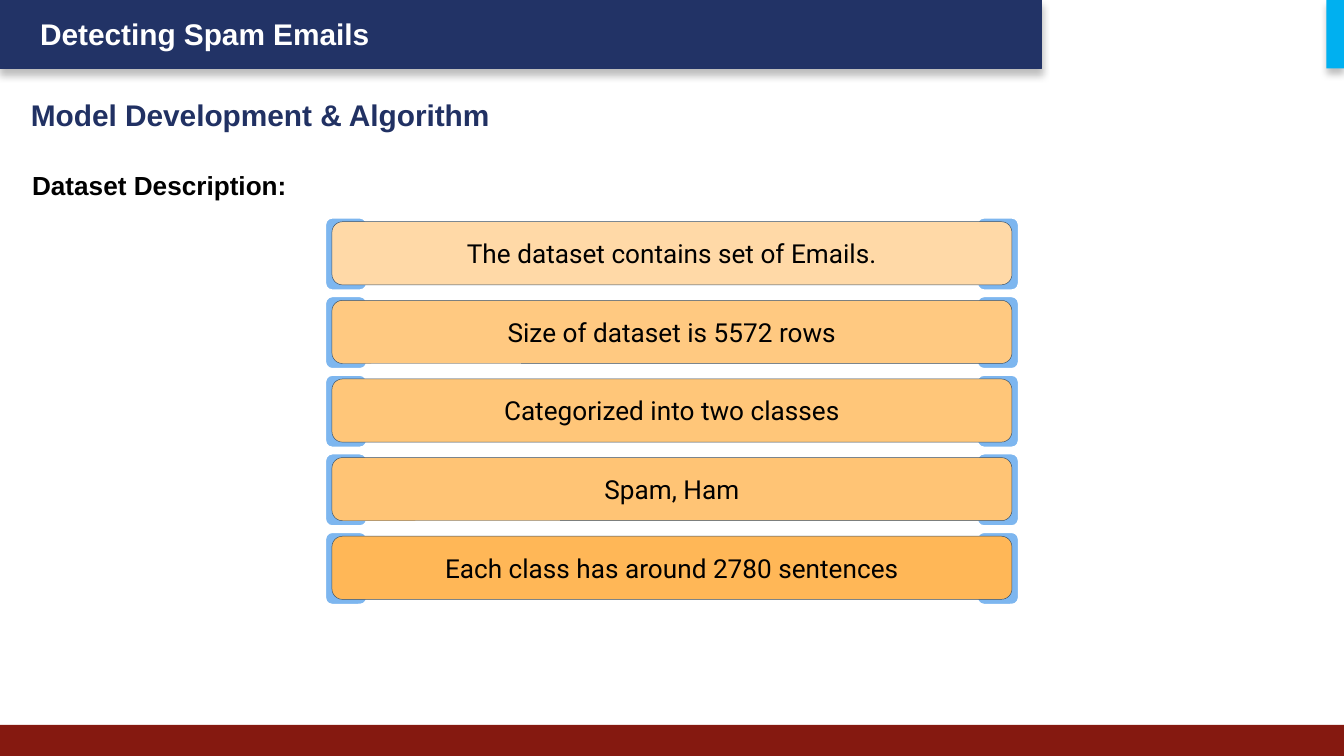
from lxml import etree
from pptx import Presentation
from pptx.dml.color import RGBColor
from pptx.enum.shapes import MSO_SHAPE
from pptx.enum.text import MSO_ANCHOR, MSO_AUTO_SIZE, PP_ALIGN
from pptx.oxml.ns import qn
from pptx.util import Inches, Pt

RECT, ROUNDED = MSO_SHAPE.RECTANGLE, MSO_SHAPE.ROUNDED_RECTANGLE
TOP, MIDDLE = MSO_ANCHOR.TOP, MSO_ANCHOR.MIDDLE
LEFT, CENTER = PP_ALIGN.LEFT, PP_ALIGN.CENTER
NO_AUTOFIT = MSO_AUTO_SIZE.NONE

NAVY, TITLE_NAVY, MAROON, CYAN = "223366", "213163", "851910", "00B0F0"
TAB_BLUE, BAR_EDGE, WHITE, BLACK = "7DB6EF", "375069", "FFFFFF", "000000"

FACTS = [
    ("The dataset contains set of Emails.", "FFD9A7"),
    ("Size of dataset is 5572 rows", "FFC981"),
    ("Categorized into two classes", "FFC679"),
    ("Spam, Ham", "FFC475"),
    ("Each class has around 2780 sentences", "FFB757"),
]


def rgb(value):
    """Turn a hex string into a colour."""
    return RGBColor.from_string(value)


def add_box(s, kind, box, fill, line=None, width=1):
    """Add a filled shape without shadow, outlined if a line colour is given."""
    sp = s.shapes.add_shape(kind, *map(Inches, box))
    sp.shadow.inherit = False
    sp.fill.solid()
    sp.fill.fore_color.rgb = rgb(fill)
    if line:
        sp.line.color.rgb = rgb(line)
        sp.line.width = Pt(width)
    else:
        sp.line.fill.background()
    return sp


def add_shadow(sp):
    """Give a shape a soft shadow falling straight down."""
    effects = sp._element.spPr.find(qn("a:effectLst"))
    shadow = etree.SubElement(effects, qn("a:outerShdw"), blurRad=str(Pt(4)),
                              dist=str(Pt(3)), dir="5400000", algn="t", rotWithShape="0")
    color = etree.SubElement(shadow, qn("a:srgbClr"), val=BLACK)
    etree.SubElement(color, qn("a:alpha"), val="25000")


def write(sp, text, size, color, font="Arial", bold=True, align=LEFT, anchor=TOP, inset=0.1):
    """Write one formatted paragraph into a shape."""
    tf = sp.text_frame
    tf.text = text
    tf.word_wrap = True
    tf.auto_size = NO_AUTOFIT
    tf.vertical_anchor = anchor
    tf.margin_left = tf.margin_right = Inches(0.1)
    tf.margin_top = tf.margin_bottom = Inches(inset)
    p = tf.paragraphs[0]
    p.alignment = align
    r = p.runs[0]
    r.font.name = font
    r.font.size = Pt(size)
    r.font.bold = bold
    r.font.color.rgb = rgb(color)


def add_label(s, box, text, size, color, inset=0.1):
    """Add a bold text box."""
    sp = s.shapes.add_textbox(*map(Inches, box))
    write(sp, text, size, color, inset=inset)


def add_frame(s, width, height):
    """Draw the header band with its topic, the corner accent and the footer."""
    band, footer = 0.51, 0.23
    add_shadow(add_box(s, RECT, (0, 0, 7.75, band), NAVY, NAVY))
    add_shadow(add_box(s, RECT, (width - 0.13, 0, 0.13, band), CYAN))
    add_box(s, RECT, (0, height - footer, width, footer), MAROON)
    add_label(s, (0.2, 0.07, 4.25, 0.37), "Detecting Spam Emails", 16, WHITE, inset=0.05)


def add_headings(s, left, top):
    """Place the slide title and the section heading below it."""
    title = s.shapes.title
    title.left, title.top, title.width, title.height = map(Inches, (left, top, 4.87, 0.47))
    write(title, "Model Development & Algorithm", 16, TITLE_NAVY)
    add_label(s, (left + 0.01, top + 0.54, 4.8, 0.55), "Dataset Description:", 14, BLACK)


def add_facts(s, left, top, width, height):
    """Stack the fact bars evenly, each with a tab behind both ends."""
    bar_height, tab_width, overhang = 0.47, 0.31, 0.05
    pitch = (height - bar_height) / (len(FACTS) - 1)
    for i, (text, fill) in enumerate(FACTS):
        y = top + i * pitch
        for x in (left - overhang, left + width + overhang - tab_width):
            add_box(s, ROUNDED, (x, y - 0.03, tab_width, 0.54), TAB_BLUE, WHITE)
        bar = add_box(s, ROUNDED, (left, y, width, bar_height), fill, BAR_EDGE, 0.25)
        write(bar, text, 14, BLACK, "Roboto", False, CENTER, MIDDLE, 0.05)


def main():
    """Build and save the slide in 16:9 format."""
    width = 10
    height = width * 9 / 16
    prs = Presentation()
    prs.slide_width, prs.slide_height = Inches(width), Inches(height)
    s = prs.slides.add_slide(prs.slide_layouts[5])
    add_frame(s, width, height)
    add_headings(s, 0.13, 0.62)
    add_facts(s, 2.47, 1.65, 5.06, 2.81)
    prs.save("out.pptx")


if __name__ == "__main__":
    main()
